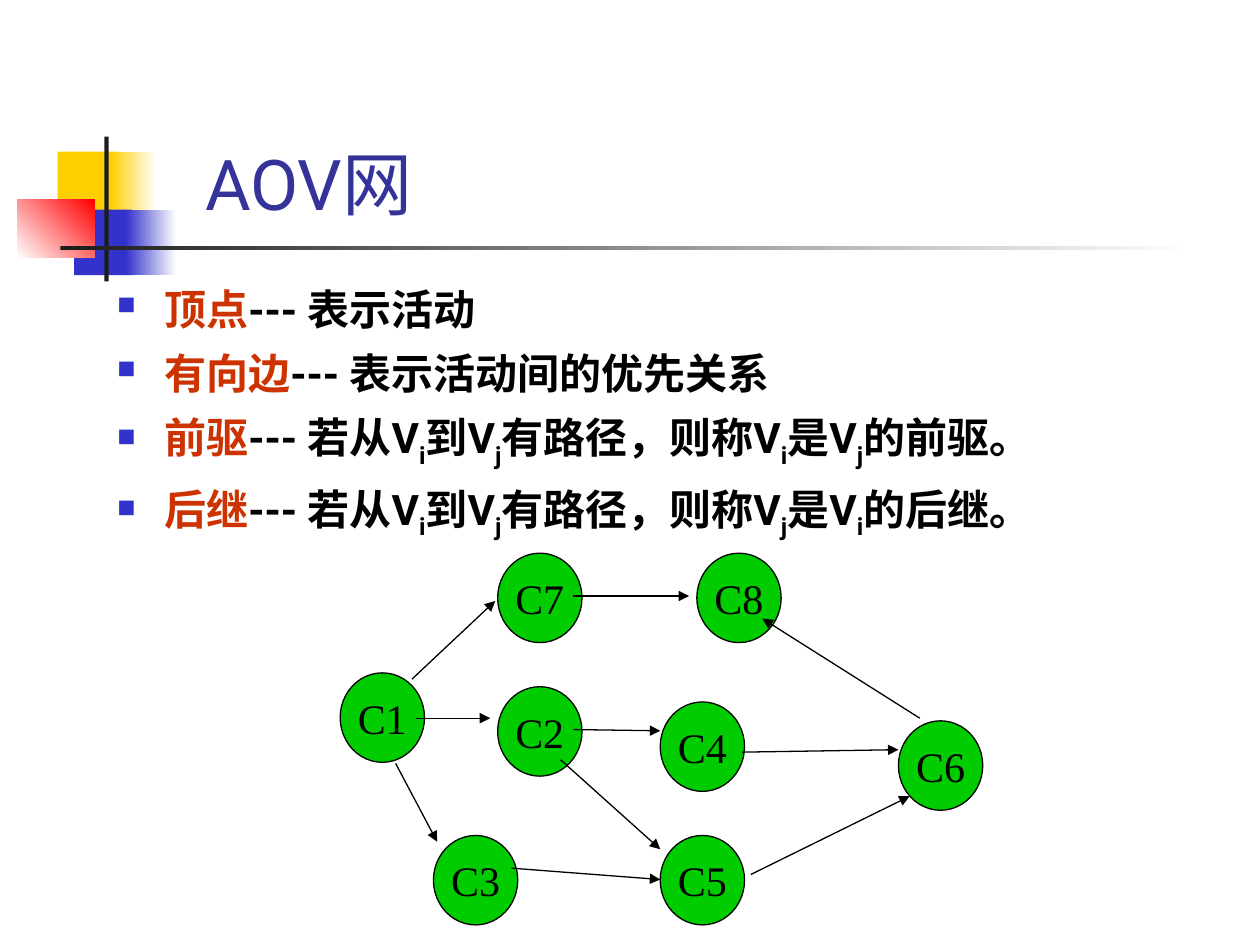
import pptx
import pptx.dml.color
import pptx.enum.shapes
import pptx.enum.text
import pptx.oxml
import pptx.oxml.ns
import pptx.util
from dataclasses import dataclass

Pt = pptx.util.Pt
SHAPES = pptx.enum.shapes.MSO_SHAPE
ALIGN = pptx.enum.text.PP_ALIGN
ANCHOR = pptx.enum.text.MSO_ANCHOR


@dataclass(frozen=True)
class Theme:
    """Colours, fonts and type sizes of the slide."""
    yellow: str = "FFCF01"
    blue: str = "3333CC"
    red: str = "FF0000"
    white: str = "FFFFFF"
    dark: str = "1C1C1C"
    title: str = "333399"
    term: str = "CC3300"
    ink: str = "000000"
    node: str = "00CC00"
    text_font: str = "Roboto"
    node_font: str = "Times New Roman"
    title_size: float = 40
    text_size: float = 24
    line_width: float = 0.75


THEME = Theme()


def rgb(value):
    """Turn a hex string into a colour."""
    return pptx.dml.color.RGBColor.from_string(value)


def apply_format(target, values):
    """Set every attribute named in a dict of format values."""
    for name, value in values.items():
        setattr(target, name, value)


def add_run(paragraph, text, color, font, size, bold=False):
    """Add one formatted run."""
    run = paragraph.add_run()
    run.text = text
    apply_format(run.font, {"name": font, "size": Pt(size), "bold": bold})
    run.font.color.rgb = rgb(color)
    return run


def add_xml(parent, tag, **attributes):
    """Append a drawing element to a parent and return it."""
    element = pptx.oxml.parse_xml(f"<a:{tag} {pptx.oxml.ns.nsdecls('a')}/>")
    for name, value in attributes.items():
        element.set(name, value)
    parent.append(element)
    return element


def add_block(slide, kind, left, top, width, height, fill, fade=None, angle=0):
    """Add a borderless shape, solid or fading to a second colour."""
    block = slide.shapes.add_shape(kind, Pt(left), Pt(top), Pt(width), Pt(height))
    block.shadow.inherit = False
    block.line.fill.background()
    if fade:
        block.fill.gradient()
        block.fill.gradient_angle = angle
        for stop, color in zip(block.fill.gradient_stops, (fill, fade)):
            stop.color.rgb = rgb(color)
    else:
        block.fill.solid()
        block.fill.fore_color.rgb = rgb(fill)
    return block


def add_ornament(slide, left, top):
    """Place the coloured squares and the two crossing rules."""
    t = THEME
    blocks = [
        (23, 8.6, 34.6, 37.4, t.yellow),
        (53.3, 8.6, 25.9, 37.4, t.yellow, t.white),
        (32.4, 41.8, 33.1, 37.4, t.blue),
        (61.9, 41.8, 28.8, 37.4, t.blue, t.white),
        (0, 36, 43.9, 33.1, t.white, t.red, 45),
        (49.7, 0, 2.4, 82.8, t.dark),
        (24.5, 62.4, 648, 2.4, t.dark, t.white),
    ]
    for x, y, *look in blocks:
        add_block(slide, SHAPES.RECTANGLE, left + x, top + y, *look)


def add_text_frame(slide, box, anchor):
    """Add a wrapping text box and return its frame."""
    frame = slide.shapes.add_textbox(*map(Pt, box)).text_frame
    apply_format(frame, {"word_wrap": True, "vertical_anchor": anchor})
    return frame


def add_title(slide, box, title):
    """Place the title on the bottom of its box."""
    frame = add_text_frame(slide, box, ANCHOR.BOTTOM)
    add_run(frame.paragraphs[0], title, THEME.title, THEME.text_font, THEME.title_size)


def add_definitions(slide, box, definitions):
    """Place bulleted terms; an underscore lowers the letter after it."""
    frame = add_text_frame(slide, box, ANCHOR.TOP)
    style = (THEME.text_font, THEME.text_size, True)
    for index, (term, meaning) in enumerate(definitions):
        paragraph = frame.add_paragraph() if index else frame.paragraphs[0]
        paragraph.line_spacing = 1.1
        properties = paragraph._p.get_or_add_pPr()
        indent = Pt(27)
        properties.set("marL", str(indent))
        properties.set("indent", str(-indent))
        add_xml(add_xml(properties, "spcBef"), "spcPct", val="20000")
        add_xml(add_xml(properties, "buClr"), "srgbClr", val=THEME.blue)
        add_xml(properties, "buSzPct", val="60000")
        add_xml(properties, "buChar", char="■")
        add_run(paragraph, term, THEME.term, *style)
        first, *rest = f"--- {meaning}".split("_")
        add_run(paragraph, first, THEME.ink, *style)
        for part in rest:
            subscript = add_run(paragraph, part[0], THEME.ink, *style)
            subscript._r.get_or_add_rPr().set("baseline", "-25000")
            add_run(paragraph, part[1:], THEME.ink, *style)


def add_network(slide, left, top, activities, arrows):
    """Place the activity circles and the arrows between them."""
    for name, (x, y) in activities.items():
        activity = add_block(slide, SHAPES.OVAL, left + x, top + y, 48.2, 51.1, THEME.node)
        activity.line.color.rgb = rgb(THEME.ink)
        activity.line.width = Pt(THEME.line_width)
        frame = activity.text_frame
        apply_format(frame, {"word_wrap": False, "vertical_anchor": ANCHOR.MIDDLE})
        label = frame.paragraphs[0]
        label.alignment = ALIGN.CENTER
        add_run(label, name, THEME.ink, THEME.node_font, THEME.text_size)
    for x1, y1, x2, y2 in arrows:
        arrow = slide.shapes.add_connector(
            pptx.enum.shapes.MSO_CONNECTOR.STRAIGHT,
            Pt(left + x1), Pt(top + y1), Pt(left + x2), Pt(top + y2))
        arrow.line.color.rgb = rgb(THEME.ink)
        arrow.line.width = Pt(THEME.line_width)
        add_xml(arrow.line._get_or_add_ln(), "tailEnd", type="triangle")
        add_xml(arrow._element.spPr, "effectLst")


DEFINITIONS = [
    ("顶点", "表示活动"),
    ("有向边", "表示活动间的优先关系"),
    ("前驱", "若从V_i到V_j有路径，则称V_i是V_j的前驱。"),
    ("后继", "若从V_i到V_j有路径，则称V_j是V_i的后继。"),
]
ACTIVITIES = {
    "C1": (0, 68.4), "C7": (90, 0), "C2": (90, 76.3), "C3": (53.3, 161.3),
    "C8": (203.8, 0), "C6": (319, 95.8), "C4": (182.9, 85), "C5": (182.9, 161.3),
}
ARROWS = [
    (41, 72, 88.6, 27.3),
    (133.2, 24.5, 199.4, 24.5),
    (43.2, 94.3, 85.7, 94.3),
    (133.2, 100.8, 182.9, 101.5),
    (229.7, 113.7, 319, 112.3),
    (126, 118.1, 182.9, 169.2),
    (31.7, 120.2, 55.4, 164.9),
    (97.9, 180, 182.9, 186.5),
    (234.7, 183.6, 325.4, 138.9),
    (331.2, 94.3, 241.2, 37.4),
]

deck = pptx.Presentation()
apply_format(deck, {"slide_width": Pt(720), "slide_height": Pt(540)})
aov_slide = deck.slides.add_slide(deck.slide_layouts[6])
add_ornament(aov_slide, 10, 78)
add_title(aov_slide, (110.2, 65.5, 550, 66.2), "AOV网")
add_definitions(aov_slide, (59.8, 155.5, 612, 211), DEFINITIONS)
add_network(aov_slide, 194.4, 316.1, ACTIVITIES, ARROWS)
deck.save("out.pptx")
